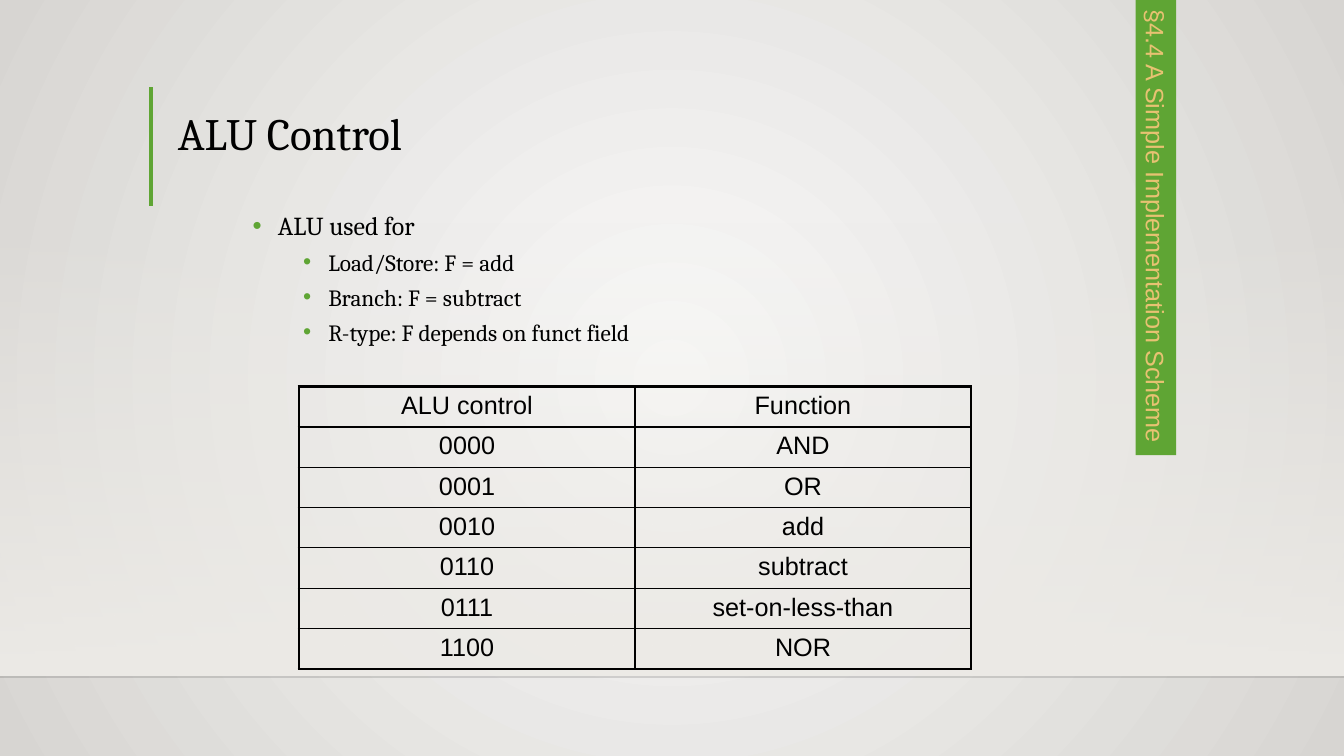
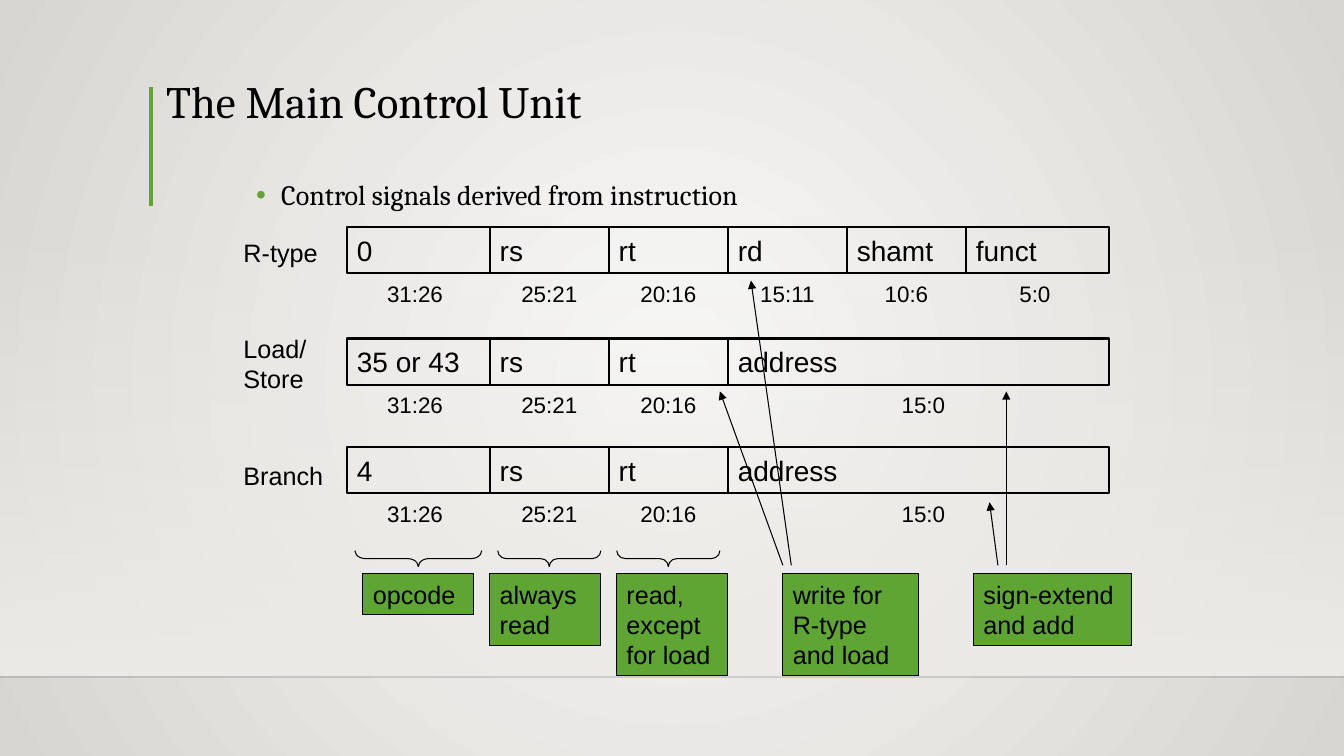
from dataclasses import dataclass
from typing import Any, NamedTuple

from lxml import etree
from pptx import Presentation
from pptx.dml import color
from pptx.enum import shapes, text
from pptx.oxml import ns
from pptx.util import Emu, Inches, Pt

COLORS = {
    "accent": "5FA534",
    "ink": "000000",
    "floor": "000001",
    "band": "EDEBE7",
    "center": "FAFAF9",
    "edge": "D7D5D2",
    "section": "E7C272",
}
WIDTH, HEIGHT = Inches(13.33), Inches(7.5)
COLUMNS, ROWS = 16, 9
HEADING = {"name": "Cambria", "size": Pt(32)}
FIELD_TEXT = {"name": "Arial", "size": Pt(20)}
NOTE_TEXT = {"name": "Arial", "size": Pt(18)}
BITS_TEXT = {"name": "Arial", "size": Pt(16)}
FITTED = {"auto_size": text.MSO_AUTO_SIZE.SHAPE_TO_FIT_TEXT}

WORD_BITS = 32
WORD_LEFT, WORD_WIDTH = 4.13, 9.07
FIELD_HEIGHT = 0.55
BRACE_DEPTH, BRACE_MIDDLE = 0.19, 6.65
NOTE_TOP, ARROW_START = 6.83, 6.73


class Area(NamedTuple):
    left: float
    top: float
    width: float
    height: float


class Point(NamedTuple):
    x: float
    y: float


class Bullet(NamedTuple):
    wording: str
    size: float
    level: int = 0


@dataclass(frozen=True)
class Field:
    name: str
    bits: int
    shift: float = 0


@dataclass(frozen=True)
class Format:
    label: str
    label_area: Area
    top: float
    fields: tuple[Field, ...]


@dataclass(frozen=True)
class Note:
    wording: str
    left: float
    width: float
    lines: int


SOURCES = (Field("rs", 5), Field("rt", 5))
ADDRESS = Field("address", 16, 0.06)
FORMATS = (
    Format("R-type", Area(2.78, 2.77, 1.13, 0.48), 2.7,
           (Field("0", 6, -0.04), *SOURCES, Field("rd", 5), Field("shamt", 5),
            Field("funct", 6, -0.03))),
    Format("Load/\nStore", Area(2.78, 3.91, 1, 0.84), 4.03,
           (Field("35 or 43", 6, -0.04), *SOURCES, ADDRESS)),
    Format("Branch", Area(2.78, 5.42, 1.19, 0.48), 5.32,
           (Field("4", 6, -0.04), *SOURCES, ADDRESS)),
)
NOTES = (
    Note("opcode", 4.32, 1.32, 1),
    Note("always read", 5.83, 1.32, 2),
    Note("read, except for load", 7.34, 1.32, 3),
    Note("write for R-type and load", 9.32, 1.61, 3),
    Note("sign-extend and add", 11.59, 1.88, 2),
)
ARROWS = (
    (Point(9.32, ARROW_START), Point(8.57, 4.66)),
    (Point(9.42, ARROW_START), Point(8.94, 3.34)),
    (Point(11.88, ARROW_START), Point(11.78, 5.98)),
    (Point(11.98, ARROW_START), Point(11.98, 4.66)),
)
ALU_FUNCTIONS = (
    ("ALU control", "Function"),
    ("0000", "AND"),
    ("0001", "OR"),
    ("0010", "add"),
    ("0110", "subtract"),
    ("0111", "set-on-less-than"),
    ("1100", "NOR"),
)


def across(columns: float) -> Emu:
    return Emu(round(WIDTH * columns / COLUMNS))


def down(rows: float) -> Emu:
    return Emu(round(HEIGHT * rows / ROWS))


def place(area: Area) -> tuple[Emu, Emu, Emu, Emu]:
    return across(area.left), down(area.top), across(area.width), down(area.height)


def rgb(name: str) -> color.RGBColor:
    return color.RGBColor.from_string(COLORS[name])


def child(parent: Any, tag: str, **attributes: Any) -> Any:
    values = {key: str(value) for key, value in attributes.items()}
    return etree.SubElement(parent, ns.qn(tag), values)


def assign(target: Any, values: dict[str, Any]) -> None:
    for name, value in values.items():
        setattr(target, name, value)


def set_gradient(fill: Any, first: str, last: str) -> None:
    fill.gradient()
    for stop, position, name in zip(fill.gradient_stops, (0, 1), (first, last)):
        stop.position = position
        stop.color.rgb = rgb(name)


def write(para: Any, wording: str, font: dict[str, Any], ink: str = "ink",
          **layout: Any) -> None:
    para.text = wording
    assign(para, layout)
    for span in para.runs:
        assign(span.font, font)
        span.font.color.rgb = rgb(ink)


def add_text(page: Any, area: Area, wording: str, font: dict[str, Any],
             frame: dict[str, Any], **layout: Any) -> None:
    box = page.shapes.add_textbox(*place(area))
    assign(box.text_frame, frame)
    write(box.text_frame.paragraphs[0], wording, font, **layout)


def add_shape(page: Any, kind: Any, area: Area, fill: str | None = None,
              weight: float = 0) -> Any:
    shape = page.shapes.add_shape(kind, *place(area))
    shape.shadow.inherit = False
    if fill:
        shape.fill.solid()
        shape.fill.fore_color.rgb = rgb(fill)
    else:
        shape.fill.background()
    if weight:
        shape.line.width = Pt(weight)
        shape.line.color.rgb = rgb("ink")
    else:
        shape.line.fill.background()
    return shape


def add_labelled(page: Any, area: Area, wording: str, font: dict[str, Any],
                 fill: str | None = None, weight: float = 0, ink: str = "ink",
                 wrap: bool = True) -> Any:
    shape = add_shape(page, shapes.MSO_SHAPE.RECTANGLE, area, fill, weight)
    assign(shape.text_frame, {"word_wrap": wrap, **FITTED})
    write(shape.text_frame.paragraphs[0], wording, font, ink,
          alignment=text.PP_ALIGN.LEFT)
    return shape


def add_line(page: Any, start: Point, end: Point, ink: str, weight: float) -> Any:
    line = page.shapes.add_connector(
        shapes.MSO_CONNECTOR.STRAIGHT,
        across(start.x), down(start.y), across(end.x), down(end.y))
    line.line.width = Pt(weight)
    line.line.color.rgb = rgb(ink)
    child(line.element.spPr, "a:effectLst")
    return line


def add_arrow(page: Any, start: Point, end: Point) -> None:
    arrow = add_line(page, start, end, "ink", 0.75)
    child(arrow.element.spPr.find(ns.qn("a:ln")), "a:tailEnd", type="triangle")


def set_background(deck: Any) -> None:
    master = deck.slide_master
    set_gradient(master.background.fill, "center", "edge")
    gradient = master.element.find(".//" + ns.qn("a:gradFill"))
    gradient.remove(gradient.find(ns.qn("a:lin")))
    focus = child(gradient, "a:path", path="circle")
    child(focus, "a:fillToRect", l=50000, t=50000, r=50000, b=50000)


def add_page(deck: Any, title: str, title_area: Area) -> Any:
    page = deck.slides.add_slide(deck.slide_layouts[6])
    band = add_shape(page, shapes.MSO_SHAPE.RECTANGLE, Area(0, 2.64, COLUMNS, 5.4))
    set_gradient(band.fill, "band", "band")
    band.fill.gradient_angle = 270
    child(band.element.find(".//" + ns.qn("a:srgbClr")), "a:alpha", val=0)
    floor = add_line(page, Point(0, 8.06), Point(COLUMNS, 8.06), "floor", 1)
    child(floor.element.find(".//" + ns.qn("a:srgbClr")), "a:alpha", val=20000)
    add_line(page, Point(1.8, 1.04), Point(1.8, 2.45), "accent", 3)
    add_text(page, title_area, title, HEADING,
             {"word_wrap": True, "vertical_anchor": text.MSO_ANCHOR.BOTTOM},
             line_spacing=0.9)
    return page


def add_bullets(page: Any, area: Area, bullets: tuple[Bullet, ...],
                line_spacing: float = 1.0) -> None:
    frame = page.shapes.add_textbox(*place(area)).text_frame
    frame.word_wrap = True
    for index, bullet in enumerate(bullets):
        para = frame.add_paragraph() if index else frame.paragraphs[0]
        properties = para._p.get_or_add_pPr()
        properties.set("marL", str(Inches(0.25 + 0.5 * bullet.level)))
        properties.set("indent", str(Inches(-0.25)))
        tint = child(properties, "a:buClr")
        child(tint, "a:srgbClr", val=COLORS["accent"])
        child(properties, "a:buFont", typeface="Arial")
        child(properties, "a:buChar", char="•")
        write(para, bullet.wording, {"name": "Cambria", "size": Pt(bullet.size)},
              level=bullet.level, line_spacing=line_spacing,
              space_before=Pt(5 if index else 0))


def set_borders(cell: Any, weights: dict[str, float]) -> None:
    properties = cell._tc.get_or_add_tcPr()
    for side, weight in weights.items():
        border = child(properties, f"a:ln{side}", w=Pt(weight))
        paint = child(border, "a:solidFill")
        child(paint, "a:srgbClr", val=COLORS["ink"])


def add_function_table(page: Any, area: Area) -> None:
    rows, columns = len(ALU_FUNCTIONS), len(ALU_FUNCTIONS[0])
    table = page.shapes.add_table(rows, columns, *place(area)).table
    assign(table, {"first_row": False, "horz_banding": False})
    across_weights = [2.25, 1.5] + [1] * (rows - 2) + [2.25]
    down_weights = [2.25] + [1] * (columns - 1) + [2.25]
    for row, wordings in enumerate(ALU_FUNCTIONS):
        for column, wording in enumerate(wordings):
            cell = table.cell(row, column)
            set_borders(cell, {
                "L": down_weights[column], "R": down_weights[column + 1],
                "T": across_weights[row], "B": across_weights[row + 1]})
            cell.fill.background()
            write(cell.text_frame.paragraphs[0], wording, NOTE_TEXT,
                  alignment=text.PP_ALIGN.CENTER)


def add_format(page: Any, layout: Format) -> None:
    high = WORD_BITS - 1
    for field in layout.fields:
        low = high - field.bits + 1
        left = WORD_LEFT + WORD_WIDTH * (WORD_BITS - 1 - high) / WORD_BITS
        width = WORD_WIDTH * field.bits / WORD_BITS
        add_labelled(page, Area(left, layout.top, width, FIELD_HEIGHT),
                     field.name, FIELD_TEXT, weight=1.5)
        add_text(page, Area(left + field.shift, layout.top + 0.57, width, 0.44),
                 f"{high}:{low}", BITS_TEXT, {"word_wrap": True, **FITTED},
                 alignment=text.PP_ALIGN.CENTER)
        high = low - 1
    add_text(page, layout.label_area, layout.label, NOTE_TEXT,
             {"word_wrap": False, **FITTED})


def add_braces(page: Any, fields: tuple[Field, ...]) -> None:
    left = WORD_LEFT
    for field in fields:
        width = WORD_WIDTH * field.bits / WORD_BITS
        span = width - BRACE_DEPTH
        area = Area(left + (width - BRACE_DEPTH) / 2, BRACE_MIDDLE - span / 2,
                    BRACE_DEPTH, span)
        brace = add_shape(page, shapes.MSO_SHAPE.LEFT_BRACE, area, weight=0.75)
        brace.rotation = 270
        brace.adjustments[0] = span / 12 / BRACE_DEPTH
        left += width


def build_alu_page(deck: Any) -> None:
    page = add_page(deck, "ALU Control", Area(2, 0.77, 12.5, 1.2))
    add_bullets(page, Area(2.89, 2.44, 10.86, 1.81), (
        Bullet("ALU used for", 18.5),
        Bullet("Load/Store: F = add", 16.6, 1),
        Bullet("Branch: F = subtract", 16.6, 1),
        Bullet("R-type: F depends on funct field", 16.6, 1)))
    section = add_labelled(page, Area(11.05, 2.47, 5.42, 0.48),
                           "§4.4 A Simple Implementation Scheme", NOTE_TEXT,
                           fill="accent", ink="section", wrap=False)
    section.rotation = 90
    add_function_table(page, Area(3.56, 4.6, 8, 3.36))


def build_control_page(deck: Any) -> None:
    page = add_page(deck, "The Main Control Unit", Area(1.86, 0.61, 12.5, 0.97))
    add_bullets(page, Area(2.93, 1.98, 10.86, 0.62),
                (Bullet("Control signals derived from instruction", 20),), 1.2)
    for layout in FORMATS:
        add_format(page, layout)
    add_braces(page, FORMATS[0].fields[:3])
    for note in NOTES:
        area = Area(note.left, NOTE_TOP, note.width, 0.13 + 0.36 * note.lines)
        add_labelled(page, area, note.wording, NOTE_TEXT, "accent", 0.75)
    for start, end in ARROWS:
        add_arrow(page, start, end)


def main() -> None:
    deck = Presentation()
    assign(deck, {"slide_width": WIDTH, "slide_height": HEIGHT})
    set_background(deck)
    build_alu_page(deck)
    build_control_page(deck)
    deck.save("out.pptx")


if __name__ == "__main__":
    main()
